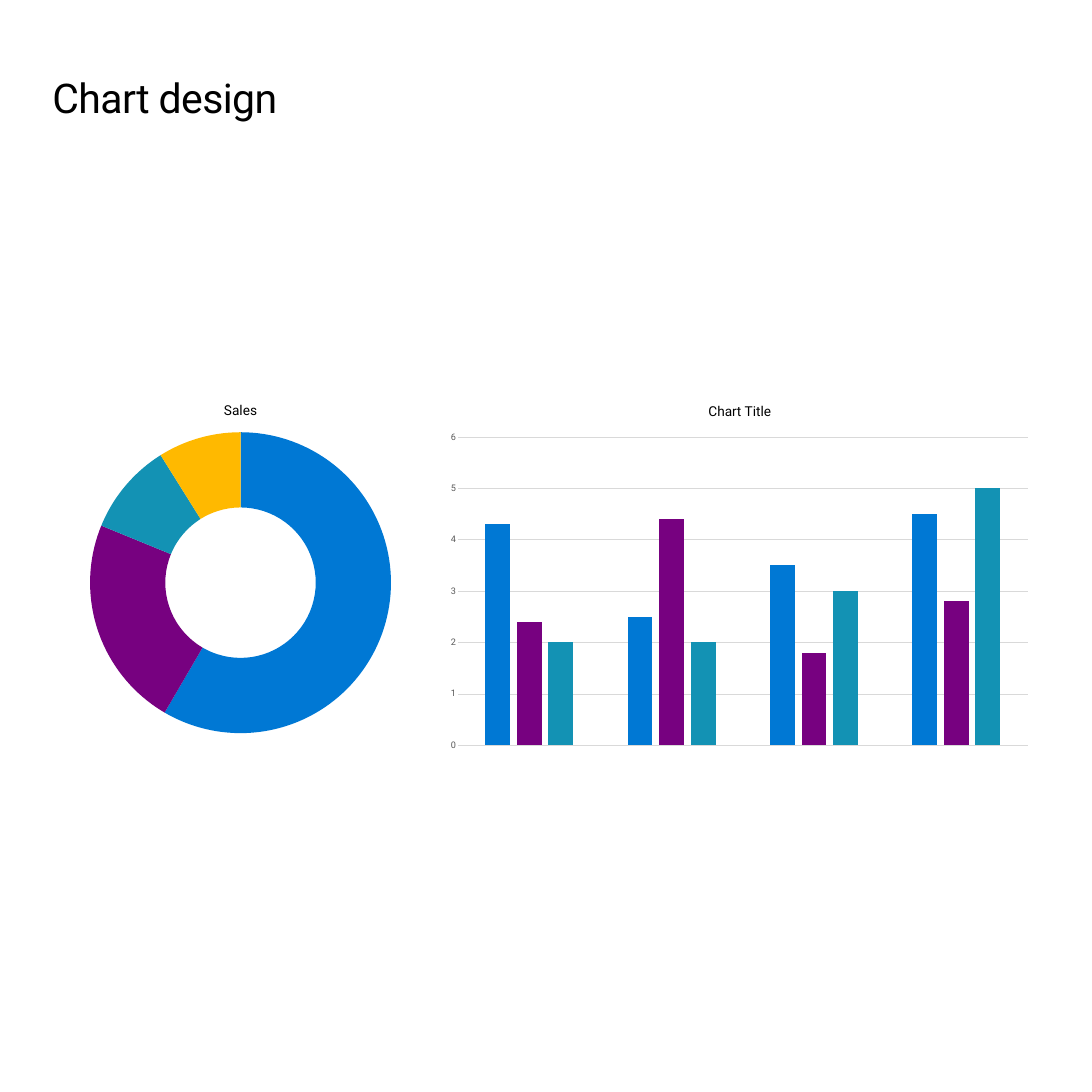
from lxml.etree import SubElement
from pptx import Presentation
from pptx.chart.data import CategoryChartData
from pptx.dml.color import RGBColor
from pptx.enum.chart import XL_CHART_TYPE as ChartType, XL_TICK_MARK as TickMark
from pptx.oxml.ns import qn
from pptx.util import Cm, Pt

FONT = "Roboto"
BLACK = RGBColor(0x00, 0x00, 0x00)
GREY = RGBColor(0x59, 0x59, 0x59)
GRID = RGBColor(0xD9, 0xD9, 0xD9)
BLUE = RGBColor(0x00, 0x78, 0xD4)
PURPLE = RGBColor(0x77, 0x01, 0x80)
TEAL = RGBColor(0x13, 0x92, 0xB4)
YELLOW = RGBColor(0xFF, 0xB9, 0x00)
PALETTE = [BLUE, PURPLE, TEAL, YELLOW]
CATEGORIES = ["1", "2", "3", "4"]


def style_font(font, size, color):
    font.name = FONT
    font.size = Pt(size)
    font.bold = False
    font.color.rgb = color


def add_titled_chart(kind, title, series, box, plot_box):
    data = CategoryChartData()
    data.categories = CATEGORIES
    for name, values in series:
        data.add_series(name, values)
    chart = slide.shapes.add_chart(kind, *map(Cm, box), data).chart
    style_font(chart.font, 10, BLACK)
    chart.has_legend = False
    chart.has_title = True
    run = chart.chart_title.text_frame.paragraphs[0].add_run()
    run.text = title
    style_font(run.font, 18, BLACK)
    chart.chart_title.include_in_layout = False
    chart.plots[0].vary_by_categories = False

    plot_area = chart.element.find(".//" + qn("c:plotArea"))
    for automatic in plot_area.findall(qn("c:layout")):
        plot_area.remove(automatic)
    layout = SubElement(plot_area, qn("c:layout"))
    plot_area.insert(0, layout)
    manual = SubElement(layout, qn("c:manualLayout"))
    settings = ["inner", "edge", "edge", *plot_box]
    for tag, value in zip(["layoutTarget", "xMode", "yMode", "x", "y", "w", "h"], settings):
        SubElement(manual, qn("c:" + tag)).set("val", str(value))
    return chart


prs = Presentation()
prs.slide_width = prs.slide_height = Cm(50.8)
slide = prs.slides.add_slide(prs.slide_layouts[6])

heading = slide.shapes.add_textbox(Cm(2.44), Cm(3.38), Cm(45.9), Cm(2.31)).text_frame
heading.word_wrap = True
heading.margin_left = heading.margin_right = 0
heading.margin_top = heading.margin_bottom = 0
heading_run = heading.paragraphs[0].add_run()
heading_run.text = "Chart design"
style_font(heading_run.font, 54, BLACK)
heading_run.font._element.set("spc", "-80")

sales = add_titled_chart(
    ChartType.DOUGHNUT, "Sales", [("Sales", [59, 23, 10, 9])],
    (2.44, 18.11, 17.5, 16.36), (0.1, 0.12, 0.8, 0.86))
for index, color in enumerate(PALETTE):
    slice_fill = sales.series[0].points[index].format.fill
    slice_fill.solid()
    slice_fill.fore_color.rgb = color
sales.element.find(".//" + qn("c:holeSize")).set("val", "52")

columns = add_titled_chart(
    ChartType.COLUMN_CLUSTERED, "Chart Title",
    [("Series 1", [4.3, 2.5, 3.5, 4.5]),
     ("Series 2", [2.4, 4.4, 1.8, 2.8]),
     ("Series 3", [2, 2, 3, 5])],
    (20.47, 18.11, 27.89, 17.07), (0.03, 0.13, 0.95, 0.84))
columns.plots[0].gap_width = 219
columns.plots[0].overlap = -27
for series, color in zip(columns.series, PALETTE):
    series.format.fill.solid()
    series.format.fill.fore_color.rgb = color
columns.category_axis.visible = False

scale = columns.value_axis
scale.minimum_scale = 0
scale.maximum_scale = 6
scale.major_unit = 1
scale.major_tick_mark = scale.minor_tick_mark = TickMark.NONE
style_font(scale.tick_labels.font, 12, GREY)
scale.format.line.fill.background()
scale.has_major_gridlines = True
scale.major_gridlines.format.line.color.rgb = GRID
scale.major_gridlines.format.line.width = Pt(0.75)

prs.save("out.pptx")
